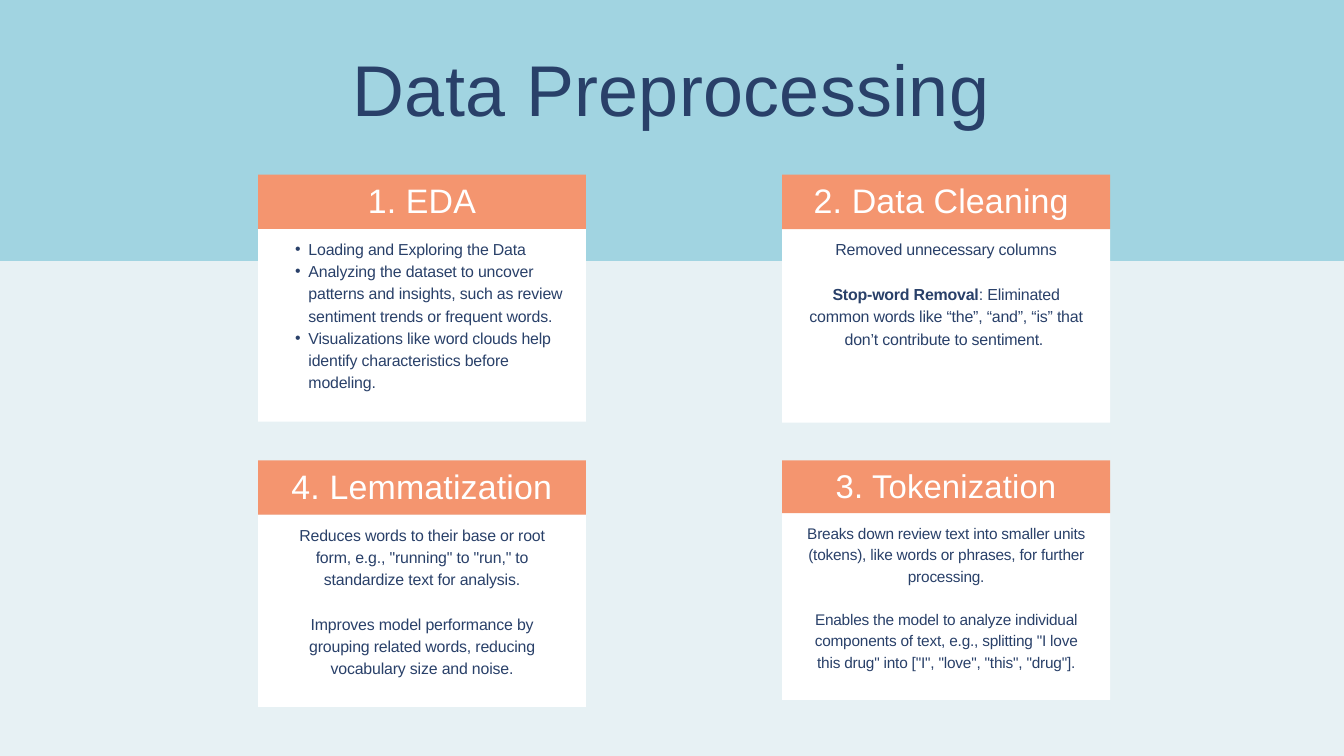
import pptx
import pptx.dml.color
import pptx.enum.shapes
import pptx.enum.text
import pptx.oxml.ns
import pptx.util
import lxml.etree

RGB = pptx.dml.color.RGBColor
NAVY = RGB(0x29, 0x40, 0x69)
SKY = RGB(0xA1, 0xD4, 0xE1)
PALE = RGB(0xE7, 0xF1, 0xF4)
CORAL = RGB(0xF4, 0x95, 0x6F)
WHITE = RGB(0xFF, 0xFF, 0xFF)

LEFT, RIGHT = 19.2, 58.2
UPPER, LOWER = 23.11, 60.89
WIDE = 24.4

# Column, row, head height, body height, head size, text size, bullets, head, text.
# The part of a text before "|" is bold.
CARDS = [
    (LEFT, UPPER, 7.16, 25.5, 36.3, 17, True, "1. EDA", [
        "Loading and Exploring the Data",
        "Analyzing the dataset to uncover patterns and insights, such as "
        "review sentiment trends or frequent words.",
        "Visualizations like word clouds help identify characteristics "
        "before modeling."]),
    (RIGHT, UPPER, 7.2, 25.6, 36.4, 17.1, False, "2. Data Cleaning ", [
        "Removed unnecessary columns",
        "Stop-word Removal|: Eliminated common words like “the”, “and”, “is” "
        "that don’t contribute to sentiment. "]),
    (RIGHT, LOWER, 6.98, 24.71, 35.2, 16.5, False, "3. Tokenization", [
        "Breaks down review text into smaller units (tokens), like words or "
        "phrases, for further processing.",
        "Enables the model to analyze individual components of text, e.g., "
        'splitting "I love this drug" into ["I", "love", "this", "drug"].']),
    (LEFT, LOWER, 7.2, 25.42, 36.3, 17, False, "4. Lemmatization", [
        "Reduces words to their base or root form, e.g., "
        '"running" to "run," to standardize text for analysis.',
        "Improves model performance by grouping related words, reducing "
        "vocabulary size and noise."]),
]


class Deck:
    """Draws on one slide; lengths are percent of its width and height."""

    face = "Arial"

    def __init__(self):
        self.show = pptx.Presentation()
        self.show.slide_width = pptx.util.Inches(20)
        self.show.slide_height = pptx.util.Inches(11.25)
        self.slide = self.show.slides.add_slide(self.show.slide_layouts[5])
        fill = self.slide.background.fill
        fill.solid()
        fill.fore_color.rgb = PALE

    def place(self, left, top, width, height):
        across = self.show.slide_width / 100
        down = self.show.slide_height / 100
        return [round(n) for n in (left * across, top * down,
                                   width * across, height * down)]

    def block(self, left, top, width, height, color):
        shape = self.slide.shapes.add_shape(
            pptx.enum.shapes.MSO_SHAPE.RECTANGLE,
            *self.place(left, top, width, height))
        shape.shadow.inherit = False
        shape.fill.solid()
        shape.fill.fore_color.rgb = color
        shape.line.fill.background()
        return shape

    def letter(self, frame, texts, size, color, lead, track, dots=False):
        """Fill a frame; lead is the line height in ems, track is in points."""
        frame.word_wrap = True
        frame.auto_size = pptx.enum.text.MSO_AUTO_SIZE.NONE
        frame.vertical_anchor = pptx.enum.text.MSO_ANCHOR.TOP
        frame.margin_left = frame.margin_right = 0
        frame.margin_top = frame.margin_bottom = 0
        step = pptx.util.Pt(round(size * lead, 1))
        for i, text in enumerate(texts):
            para = frame.add_paragraph() if i else frame.paragraphs[0]
            para.line_spacing = step
            para.space_before = step if i and not dots else 0
            if dots:
                self.dot(para)
            else:
                para.alignment = pptx.enum.text.PP_ALIGN.CENTER
            font = para.font
            font.name = self.face
            font.size = pptx.util.Pt(size)
            font.color.rgb = color
            font._rPr.set("spc", str(round(track * 100)))
            parts = text.split("|")
            for n, part in enumerate(parts):
                run = para.add_run()
                run.text = part
                if n < len(parts) - 1:
                    run.font.bold = True

    def dot(self, para):
        props = para._p.get_or_add_pPr()
        props.set("marL", str(pptx.util.Inches(0.4)))
        props.set("indent", str(pptx.util.Inches(-0.2)))
        for tag, key, value in (("a:buFont", "typeface", self.face),
                                ("a:buChar", "char", "•")):
            lxml.etree.SubElement(props, pptx.oxml.ns.qn(tag)).set(key, value)

    def title(self, text, left, top, width, height):
        shape = self.slide.shapes.title
        shape.left, shape.top, shape.width, shape.height = self.place(
            left, top, width, height)
        self.letter(shape.text_frame, [text], 77, NAVY, 1.1, 0.4)

    def band(self, height):
        """Colour the top of the slide, behind the title."""
        shape = self.block(0, 0, 100, height, SKY)
        self.slide.shapes._spTree.insert(2, shape._element)

    def label(self, left, top, width, height, *style):
        box = self.slide.shapes.add_textbox(
            *self.place(left, top, width, height))
        self.letter(box.text_frame, *style)

    def card(self, left, top, cap, body, large, small, dots, head, texts):
        base = top + cap
        self.block(left, base, WIDE, body, WHITE)
        self.label(left + 1.75, base + 1, WIDE - 3.5, body - 1,
                   texts, small, NAVY, 1.4, -0.2, dots)
        self.block(left, top, WIDE, cap, CORAL)
        self.label(left + 0.85, top + 1.15, WIDE - 1.7, cap - 2.1,
                   [head], large, WHITE, 1.1, 0.2)


def main():
    deck = Deck()
    deck.band(34.5)
    deck.title("Data Preprocessing", 9.8, 6.84, 80.35, 10.58)
    for card in CARDS:
        deck.card(*card)
    deck.show.save("out.pptx")


if __name__ == "__main__":
    main()
